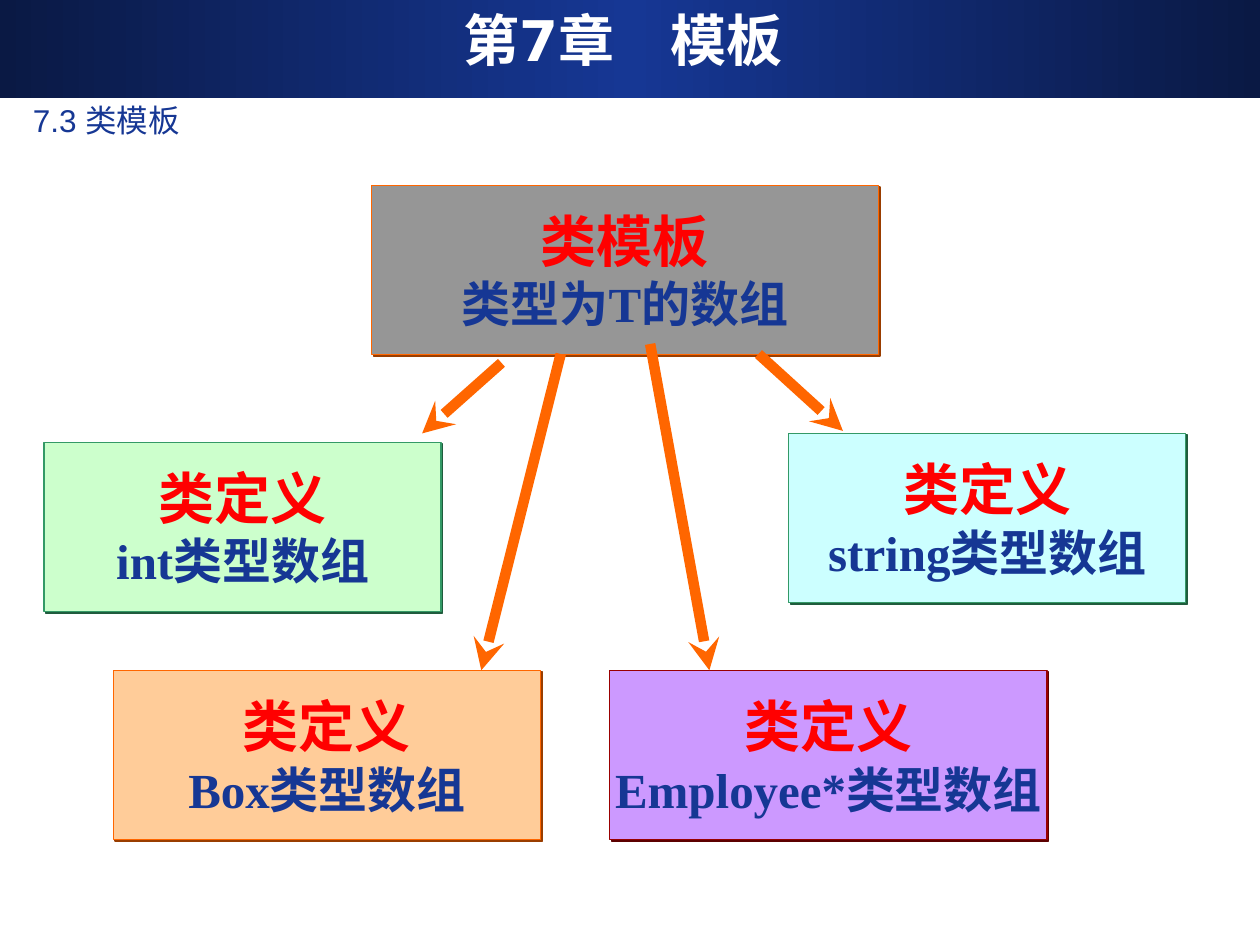
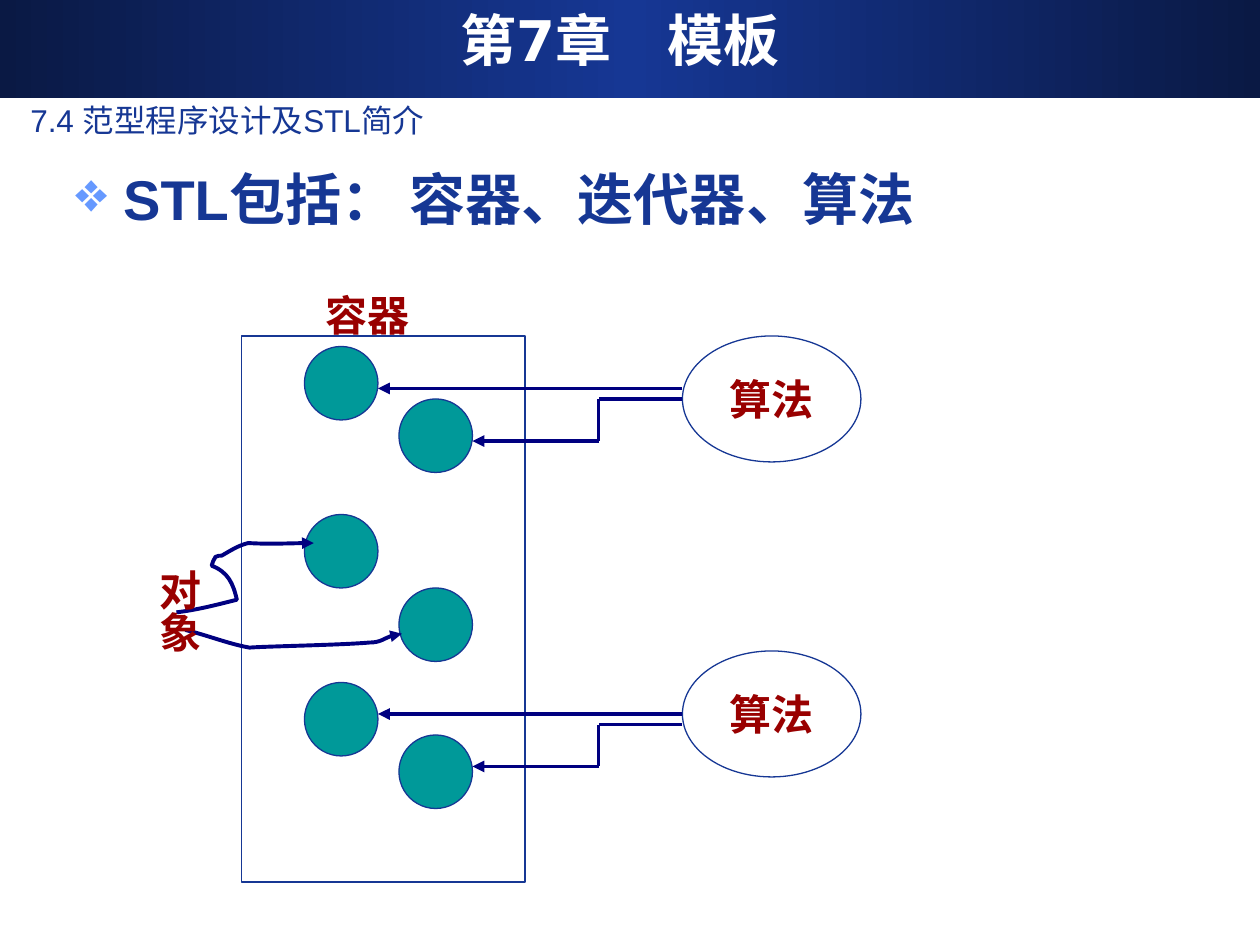
"""Build two lecture slides on class templates and the STL."""
import itertools

import lxml.etree
import pptx
import pptx.dml.color
import pptx.enum.shapes
import pptx.enum.text
import pptx.oxml.ns
import pptx.util

COLUMNS, ROWS = 120, 90
NAVY, DEEP_NAVY, INK = "163794", "0A1944", "000080"
RED, MAROON, ORANGE, GREEN, TEAL = "FF0000", "990000", "FF6600", "339966", "009999"
SERIF, SANS, HEADING = "Times New Roman", "Arial", "DejaVu Sans"
SHAPES = pptx.enum.shapes.MSO_SHAPE
ANCHORS = pptx.enum.text.MSO_ANCHOR
LEFT, CENTER = pptx.enum.text.PP_ALIGN.LEFT, pptx.enum.text.PP_ALIGN.CENTER
LABEL = dict(size=24, color=MAROON, font=SERIF, bold=True, align=CENTER)


def rgb(value):
    """Return the colour for a hex string."""
    return pptx.dml.color.RGBColor.from_string(value)


def add_element(parent, tag, **attributes):
    """Append a drawing element to its parent."""
    return lxml.etree.SubElement(parent, pptx.oxml.ns.qn(tag), attributes)


def write(paragraph, text, size=18, color=NAVY, font=SANS, bold=False, align=LEFT, bullet=None):
    """Put formatted text in a paragraph."""
    paragraph.alignment = align
    if bullet:
        properties = paragraph._p.get_or_add_pPr()
        indent = pptx.util.Inches(0.38)
        properties.set("marL", str(indent))
        properties.set("indent", str(-indent))
        add_element(add_element(properties, "a:buClr"), "a:srgbClr", val="6699FF")
        add_element(properties, "a:buChar", char=bullet)
    run = paragraph.add_run()
    run.text = text
    run.font.size = pptx.util.Pt(size)
    run.font.name = font
    run.font.bold = bold
    run.font.color.rgb = rgb(color)


class Deck:
    """Hold the shared style and the current slide."""

    def __init__(self):
        """Start a presentation of ten by seven and a half inches."""
        self.presentation = pptx.Presentation()
        self.presentation.slide_width = pptx.util.Inches(10)
        self.presentation.slide_height = pptx.util.Inches(7.5)
        self.slide = None

    def place(self, *lengths):
        """Turn alternating columns and rows into slide lengths."""
        units = (self.presentation.slide_width / COLUMNS, self.presentation.slide_height / ROWS)
        return [pptx.util.Emu(round(length * unit))
                for length, unit in zip(lengths, itertools.cycle(units))]

    def start(self, section, left):
        """Add a slide with its band, section line and chapter title."""
        self.slide = self.presentation.slides.add_slide(self.presentation.slide_layouts[6])
        band = self.shape(SHAPES.RECTANGLE, (0, 0, COLUMNS, 9.36), line=None)
        band.fill.gradient()
        band.fill.gradient_angle = 0
        stops = band._element.spPr.find(".//" + pptx.oxml.ns.qn("a:gsLst"))
        for stop in list(stops):
            stops.remove(stop)
        for position, color in ((0, DEEP_NAVY), (50000, NAVY), (100000, DEEP_NAVY)):
            add_element(add_element(stops, "a:gs", pos=str(position)), "a:srgbClr", val=color)
        self.text((left, 9, 111, 4.92), section, inset=0.24)
        self.text((left + 3.6, 0, 111, 7.44), "第7章　模板", anchor=ANCHORS.MIDDLE,
                  size=32, color="FFFFFF", font=HEADING, bold=True, align=CENTER)

    def text(self, area, text, inset=0.1, anchor=ANCHORS.TOP, vertical=False, **style):
        """Add a wrapped text box."""
        box = self.slide.shapes.add_textbox(*self.place(*area))
        frame = box.text_frame
        frame.word_wrap = True
        frame.vertical_anchor = anchor
        frame.margin_left = pptx.util.Inches(inset)
        if vertical:
            frame.margin_left = frame.margin_right = pptx.util.Inches(0.05)
            frame.margin_top = frame.margin_bottom = pptx.util.Inches(0.1)
            frame._txBody.bodyPr.set("vert", "eaVert")
        write(frame.paragraphs[0], text, **style)

    def shape(self, kind, area, fill=None, line=NAVY):
        """Add a preset shape with a thin outline."""
        shape = self.slide.shapes.add_shape(kind, *self.place(*area))
        shape.shadow.inherit = False
        if fill:
            shape.fill.solid()
            shape.fill.fore_color.rgb = rgb(fill)
        else:
            shape.fill.background()
        if line:
            shape.line.color.rgb = rgb(line)
            shape.line.width = pptx.util.Pt(0.75)
        else:
            shape.line.fill.background()
        return shape

    def class_box(self, area, heading, detail, fill, line, shadow):
        """Add a shadowed box with a heading and a detail line."""
        box = self.shape(SHAPES.RECTANGLE, area, fill, line)
        effects = box._element.spPr.find(pptx.oxml.ns.qn("a:effectLst"))
        outer = add_element(effects, "a:outerShdw", dist=str(pptx.util.Pt(1.4)),
                            dir="2700000", algn="ctr", rotWithShape="0")
        add_element(outer, "a:srgbClr", val=shadow)
        frame = box.text_frame
        frame.word_wrap = False
        frame.vertical_anchor = ANCHORS.MIDDLE
        style = dict(font=SERIF, bold=True, align=CENTER)
        write(frame.paragraphs[0], heading, size=32, color=RED, **style)
        write(frame.add_paragraph(), detail, size=28, **style)

    def stroke(self, shape, color, width, head):
        """Set the line of a connector or curve and its arrowhead."""
        shape.line.color.rgb = rgb(color)
        shape.line.width = pptx.util.Pt(width)
        if head:
            add_element(shape.line._get_or_add_ln(), "a:tailEnd", type=head)

    def route(self, *points, color=INK, width=2.25, head="triangle"):
        """Join points with straight connectors, the last with an arrowhead."""
        for begin, end in itertools.pairwise(points):
            connector = self.slide.shapes.add_connector(
                pptx.enum.shapes.MSO_CONNECTOR.STRAIGHT, *self.place(*begin, *end))
            self.stroke(connector, color, width, head if end == points[-1] else None)
            add_element(connector._element.spPr, "a:effectLst")

    def curve(self, *points):
        """Draw an arrow of cubic curves, three points to a segment."""
        start, *controls = [self.place(*point) for point in points]
        builder = self.slide.shapes.build_freeform(*start, scale=1.0)
        builder.add_line_segments(controls, close=False)
        shape = builder.convert_to_shape()
        shape.shadow.inherit = False
        shape.fill.background()
        outline = shape._element.spPr.find(".//" + pptx.oxml.ns.qn("a:path"))
        segments = outline.findall(pptx.oxml.ns.qn("a:lnTo"))
        for first in range(0, len(segments), 3):
            cubic = add_element(outline, "a:cubicBezTo")
            for segment in segments[first:first + 3]:
                cubic.append(segment[0])
                outline.remove(segment)
        self.stroke(shape, INK, 2.25, "triangle")


def class_template_slide(deck):
    """Show one class template giving four class definitions."""
    deck.start("7.3 类模板", 0.24)
    height = 16.1
    deck.class_box((35.4, 17.64, 48.24, height), "类模板", "类型为T的数组",
                   "969696", ORANGE, "993D00")
    definitions = (
        (4.2, 42.12, 37.8, "int", "CCFFCC", GREEN, "1F5C3D"),
        (75.12, 41.28, 37.8, "string", "CCFFFF", GREEN, "1F5C3D"),
        (10.8, 63.84, 40.68, "Box", "FFCC99", ORANGE, "993D00"),
        (58.08, 63.84, 41.64, "Employee*", "CC99FF", MAROON, "5C0000"),
    )
    for left, top, width, kind, *colors in definitions:
        deck.class_box((left, top, width, height), "类定义", kind + "类型数组", *colors)
    arrows = (
        ((72.24, 33.72), (80.28, 41.04)),
        ((53.4, 33.72), (45.84, 63.84)),
        ((47.76, 34.56), (40.2, 41.28)),
        ((61.92, 32.76), (67.56, 63.84)),
    )
    for arrow in arrows:
        deck.route(*arrow, color=ORANGE, width=6, head="stealth")


def stl_slide(deck):
    """Show containers, objects and algorithms of the STL."""
    deck.start("7.4 范型程序设计及STL简介", 0)
    deck.text((6, 15.12, 108, 9.72), "STL包括： 容器、迭代器、算法",
              size=32, bold=True, bullet="❖")
    for left, top in ((29, 33), (38, 38), (29, 49), (38, 56), (29, 65), (38, 70)):
        deck.shape(SHAPES.OVAL, (left, top, 7, 7), TEAL)
    deck.shape(SHAPES.RECTANGLE, (23, 32, 27, 52))
    deck.text((25, 27, 20, 6), "容器", **LABEL)
    for top, access in ((32, 37), (62, 68)):
        deck.text((68, top + 3, 11, 6), "算法", **LABEL)
        deck.shape(SHAPES.OVAL, (65, top, 17, 12))
        deck.route((65, access), (36, access))
        deck.route((65, access + 1), (57, access + 1), (57, access + 5), (45, access + 5))
    deck.curve((16.8, 58.32), (18.84, 58.08), (20.64, 57.6), (22.56, 57.12),
               (22.2, 55.56), (21.72, 54.48), (20.16, 53.88),
               (20.28, 53.64), (20.28, 53.28), (20.52, 53.04),
               (20.64, 52.92), (21, 52.92), (21.12, 52.92),
               (21.96, 52.44), (22.68, 51.96), (23.64, 51.72),
               (25.68, 51.84), (27.72, 51.72), (29.88, 51.72))
    deck.curve((17.64, 60), (19.68, 60.48), (21.72, 61.32), (23.76, 61.68),
               (25.2, 61.56), (32.4, 61.44), (35.16, 61.2),
               (36.24, 61.2), (37.2, 60.36), (38.28, 60.36))
    deck.text((12.84, 53, 7.2, 14), "对象", vertical=True, **LABEL)


def main():
    """Build and save the slides."""
    deck = Deck()
    class_template_slide(deck)
    stl_slide(deck)
    deck.presentation.save("out.pptx")


if __name__ == "__main__":
    main()
